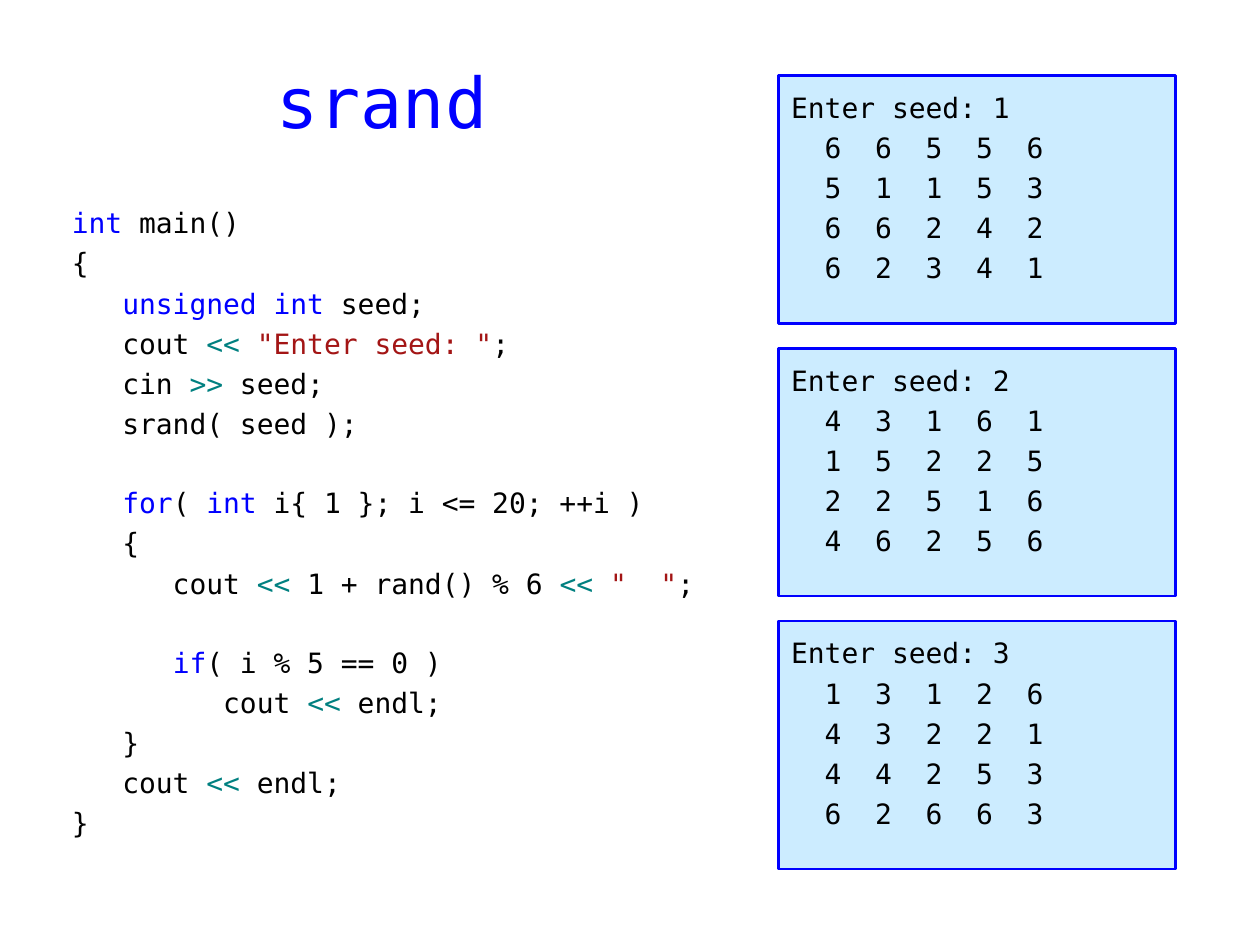
"""Build the srand slide: a C++ listing beside the output for three seeds."""
import pptx
import pptx.dml.color
import pptx.enum.shapes
import pptx.enum.text
import pptx.util

Cm, Pt = pptx.util.Cm, pptx.util.Pt
ANCHOR, ALIGN = pptx.enum.text.MSO_ANCHOR, pptx.enum.text.PP_ALIGN

FONT = "DejaVu Sans Mono"
BLUE, BLACK, TEAL, RED, PALE = "0000FF", "000000", "008080", "A31515", "CCECFF"
SIZE, GAP, LINE_PITCH = 16, 3.75, 22.4

CODE = [
    [("int", BLUE), " main()"],
    ["{"],
    ["   ", ("unsigned int", BLUE), " seed;"],
    ["   cout ", ("<< ", TEAL), ('"Enter seed: "', RED), ";"],
    ["   cin ", (">>", TEAL), " seed;"],
    ["   srand( seed );"],
    [],
    ["   ", ("for", BLUE), "( ", ("int", BLUE), " i{ 1 }; i <= 20; ++i )"],
    ["   {"],
    ["      cout ", ("<<", TEAL), " 1 + rand() % 6 ", ("<< ", TEAL), ('"  "', RED), ";"],
    [],
    ["      ", ("if", BLUE), "( i % 5 == 0 )"],
    ["         cout ", ("<<", TEAL), " endl;"],
    ["   }"],
    ["   cout ", ("<<", TEAL), " endl;"],
    ["}"],
]

ROLLS = {
    1: ["66556", "51153", "66242", "62341"],
    2: ["43161", "15225", "22516", "46256"],
    3: ["13126", "43221", "44253", "62663"],
}


def rgb(color):
    """Turn a hex string into a colour."""
    return pptx.dml.color.RGBColor.from_string(color)


def write(tf, lines, size=SIZE, color=BLACK, align=ALIGN.LEFT, anchor=ANCHOR.TOP, inset=0.13):
    """Fill a text frame; an empty line widens the gap before the next one."""
    tf.word_wrap = True
    tf.vertical_anchor = anchor
    tf.margin_left = tf.margin_right = Cm(0.25)
    tf.margin_top = tf.margin_bottom = Cm(inset)
    p, gap = tf.paragraphs[0], 0
    for line in lines:
        if not line:
            gap += LINE_PITCH
            continue
        if p.runs:
            p = tf.add_paragraph()
        p.alignment = align
        p.space_before = Pt(gap)
        for part in line:
            text, tint = (part, color) if isinstance(part, str) else part
            r = p.add_run()
            r.text = text
            r.font.name, r.font.size = FONT, Pt(size)
            r.font.color.rgb = rgb(tint)
        gap = GAP


def main():
    """Lay out the slide and save it."""
    prs = pptx.Presentation()
    prs.slide_width, prs.slide_height = Cm(25.4), Cm(19.05)
    s = prs.slides.add_slide(prs.slide_layouts[6])

    title = s.shapes.add_textbox(Cm(1.2), Cm(0.53), Cm(13), Cm(3))
    write(title.text_frame, [["srand"]], size=40, color=BLUE,
          align=ALIGN.CENTER, anchor=ANCHOR.MIDDLE)

    code = s.shapes.add_textbox(Cm(1.2), Cm(4.02), Cm(13.5), Cm(13.5))
    write(code.text_frame, CODE)

    for i, (seed, rows) in enumerate(ROLLS.items()):
        sp = s.shapes.add_shape(pptx.enum.shapes.MSO_SHAPE.RECTANGLE,
                                Cm(15.7), Cm(1.52 + 5.5 * i), Cm(8), Cm(5))
        sp.shadow.inherit = False
        sp.fill.solid()
        sp.fill.fore_color.rgb = rgb(PALE)
        sp.line.color.rgb = rgb(BLUE)
        sp.line.width = Pt(1.5)
        lines = [[f"Enter seed: {seed}"]] + [["  " + "  ".join(row)] for row in rows]
        write(sp.text_frame, lines, inset=0.3)

    prs.save("out.pptx")


if __name__ == "__main__":
    main()
